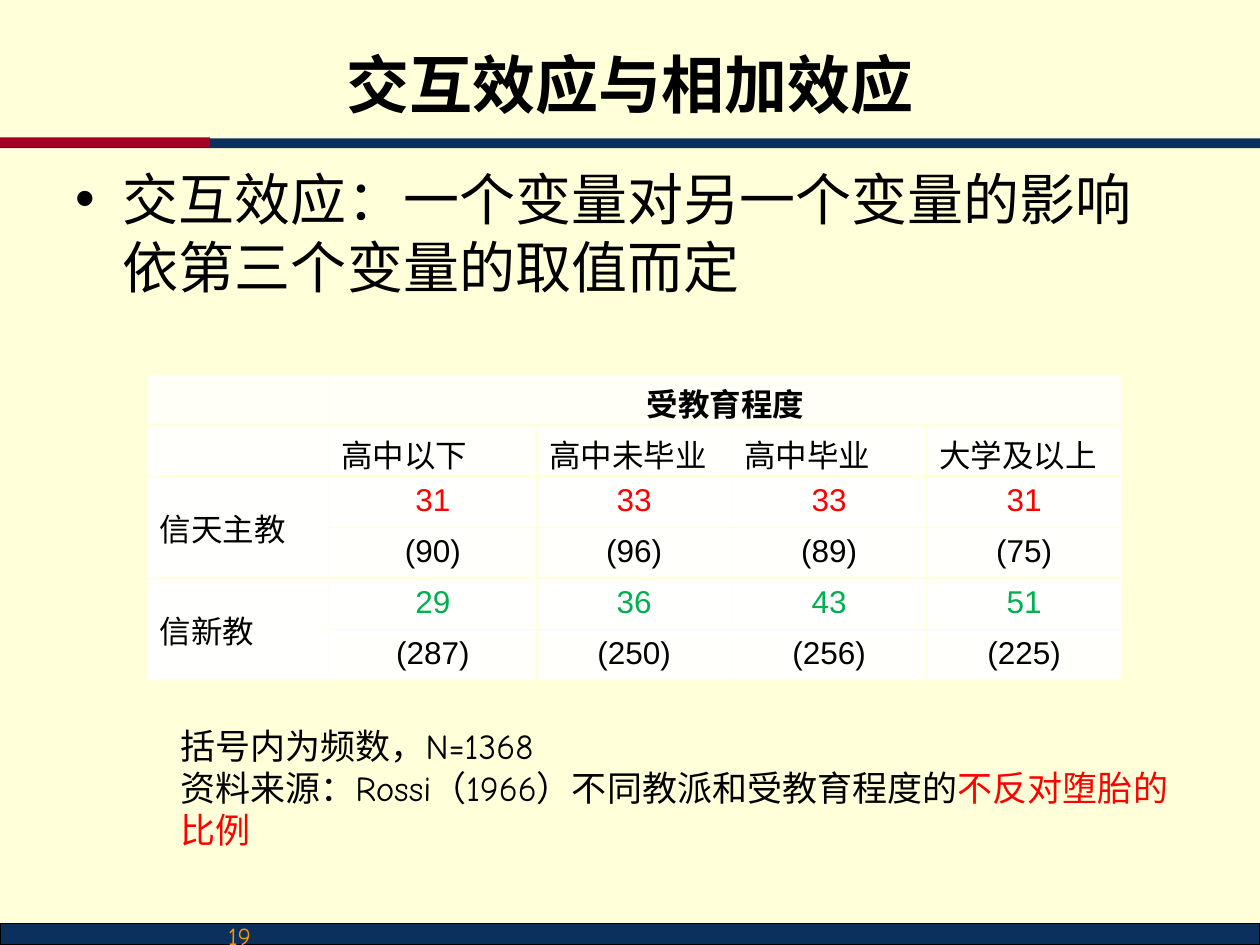
from dataclasses import dataclass

from lxml.etree import SubElement
from pptx import Presentation
from pptx.dml.color import RGBColor
from pptx.enum.shapes import MSO_SHAPE
from pptx.enum.text import MSO_ANCHOR, PP_ALIGN
from pptx.oxml.ns import qn
from pptx.util import Cm, Pt


@dataclass(frozen=True)
class Theme:
    background: str = "FFFFD9"
    navy: str = "0C305E"
    crimson: str = "A50021"
    black: str = "000000"
    red: str = "FF0000"
    green: str = "00B050"
    orange: str = "FF9900"
    head_fill: str = "FFFFF7"
    light_fill: str = "FFFFFC"
    value_fill: str = "FFFFFD"
    font: str = "Arial"
    note_font: str = "Comic Neue"
    title_size: int = 36
    body_size: int = 32
    note_size: int = 20
    table_size: int = 18
    number_size: int = 14
    thin: float = 0.45
    thick: float = 1.47


T = Theme()

TITLE = "交互效应与相加效应"
BODY = "交互效应：一个变量对另一个变量的影响依第三个变量的取值而定"
PAGE_NUMBER = "19"
TABLE_HEAD = "受教育程度"
LEVELS = ["高中以下", "高中未毕业", "高中毕业", "大学及以上"]
GROUPS = [
    ("信天主教", T.red, [31, 33, 33, 31], [90, 96, 89, 75]),
    ("信新教", T.green, [29, 36, 43, 51], [287, 250, 256, 225]),
]
NOTE_LINES = [
    [("括号内为频数，N=1368", T.black)],
    [("资料来源：Rossi（1966）不同教派和受教育程度的", T.black),
     ("不反对堕胎的比例", T.red)],
]

WIDTH, HEIGHT = 25.4, 19.05
# left, top, width, height (cm), fill, outline
BARS = [
    (0, 18.62, WIDTH, 0.43, T.navy, T.black),
    (0, 2.79, WIDTH, 0.2, T.navy, None),
    (0, 2.77, 4.24, 0.2, T.crimson, None),
]
TITLE_BOX = (1.27, 0.76, 22.86, 1.85)
BODY_BOX = (1.27, 3.2, 22.86, 14.76)
NUMBER_BOX = (0.86, 18.44, 4.45, 1.17)
NOTE_BOX = (3.38, 14.48, 20.75, 2.79)
TABLE_AT = (2.97, 7.54)
COLUMN_WIDTHS = [3.66, 4.19, 3.93, 3.93, 3.93]
ROW_HEIGHT = 1.03
BULLET_INDENT = 0.96


def rgb(value):
    return RGBColor.from_string(value)


def lengths(values):
    return [Cm(v) for v in values]


def add_run(p, text, size, color=T.black, font=T.font, bold=False):
    r = p.add_run()
    r.text = text
    r.font.size = Pt(size)
    r.font.name = font
    r.font.bold = bold
    r.font.color.rgb = rgb(color)


def add_text_box(s, box):
    """Add a wrapping text box and return its first paragraph."""
    tf = s.shapes.add_textbox(*lengths(box)).text_frame
    tf.word_wrap = True
    return tf.paragraphs[0]


def add_bar(s, left, top, width, height, fill, outline):
    sp = s.shapes.add_shape(MSO_SHAPE.RECTANGLE,
                            *lengths((left, top, width, height)))
    sp.shadow.inherit = False
    sp.fill.solid()
    sp.fill.fore_color.rgb = rgb(fill)
    if outline:
        sp.line.color.rgb = rgb(outline)
        sp.line.width = Pt(0.75)
    else:
        sp.line.fill.background()


def add_title(s):
    title = s.shapes.title
    title.left, title.top, title.width, title.height = lengths(TITLE_BOX)
    tf = title.text_frame
    tf.vertical_anchor = MSO_ANCHOR.MIDDLE
    p = tf.paragraphs[0]
    p.alignment = PP_ALIGN.CENTER
    add_run(p, TITLE, T.title_size, bold=True)


def add_body(s):
    p = add_text_box(s, BODY_BOX)
    pPr = p._p.get_or_add_pPr()
    pPr.set("marL", str(Cm(BULLET_INDENT)))
    pPr.set("indent", str(-Cm(BULLET_INDENT)))
    SubElement(pPr, qn("a:buFont"), typeface=T.font)
    SubElement(pPr, qn("a:buChar"), char="•")
    add_run(p, BODY, T.body_size)


def set_borders(cell, row):
    """Thin lines all round, with a thick one under the head row."""
    tcPr = cell._tc.get_or_add_tcPr()
    heavy_side = {0: "B", 1: "T"}.get(row)
    for side in "LRTB":
        width = Pt(T.thick if side == heavy_side else T.thin)
        ln = SubElement(tcPr, qn(f"a:ln{side}"), w=str(width))
        fill = SubElement(ln, qn("a:solidFill"))
        SubElement(fill, qn("a:srgbClr"), val=T.background)


def fill_cell(cell, text, color=T.black, align=PP_ALIGN.CENTER, bold=False):
    p = cell.text_frame.paragraphs[0]
    p.alignment = align
    add_run(p, text, T.table_size, color, bold=bold)


def add_table(s):
    row_fills = [T.head_fill, T.light_fill]
    row_fills += [T.value_fill, T.light_fill] * len(GROUPS)
    size = (sum(COLUMN_WIDTHS), ROW_HEIGHT * len(row_fills))
    table = s.shapes.add_table(len(row_fills), len(COLUMN_WIDTHS),
                               *lengths(TABLE_AT + size)).table
    table.first_row = table.horz_banding = False
    for column, width in zip(table.columns, COLUMN_WIDTHS):
        column.width = Cm(width)
    for i, (row, fill) in enumerate(zip(table.rows, row_fills)):
        row.height = Cm(ROW_HEIGHT)
        for cell in row.cells:
            set_borders(cell, i)
            cell.fill.solid()
            cell.fill.fore_color.rgb = rgb(fill)

    table.cell(0, 1).merge(table.cell(0, len(LEVELS)))
    fill_cell(table.cell(0, 1), TABLE_HEAD, bold=True)
    for j, level in enumerate(LEVELS, 1):
        fill_cell(table.cell(1, j), level, align=PP_ALIGN.LEFT)
    for g, (name, color, shares, counts) in enumerate(GROUPS):
        top = 2 + 2 * g
        label = table.cell(top, 0)
        label.merge(table.cell(top + 1, 0))
        label.vertical_anchor = MSO_ANCHOR.MIDDLE
        fill_cell(label, name, align=PP_ALIGN.LEFT)
        for j, (share, count) in enumerate(zip(shares, counts), 1):
            fill_cell(table.cell(top, j), str(share), color)
            fill_cell(table.cell(top + 1, j), f"({count})")


def add_note(s):
    p = add_text_box(s, NOTE_BOX)
    for i, line in enumerate(NOTE_LINES):
        if i:
            p.add_line_break()
        for text, color in line:
            add_run(p, text, T.note_size, color, T.note_font)


def add_page_number(s):
    p = add_text_box(s, NUMBER_BOX)
    p.alignment = PP_ALIGN.RIGHT
    add_run(p, PAGE_NUMBER, T.number_size, T.orange, T.note_font)


def main():
    prs = Presentation()
    prs.slide_width, prs.slide_height = Cm(WIDTH), Cm(HEIGHT)
    s = prs.slides.add_slide(prs.slide_layouts[5])
    s.background.fill.solid()
    s.background.fill.fore_color.rgb = rgb(T.background)
    for bar in BARS:
        add_bar(s, *bar)
    add_title(s)
    add_body(s)
    add_page_number(s)
    add_table(s)
    add_note(s)
    prs.save("out.pptx")


if __name__ == "__main__":
    main()
